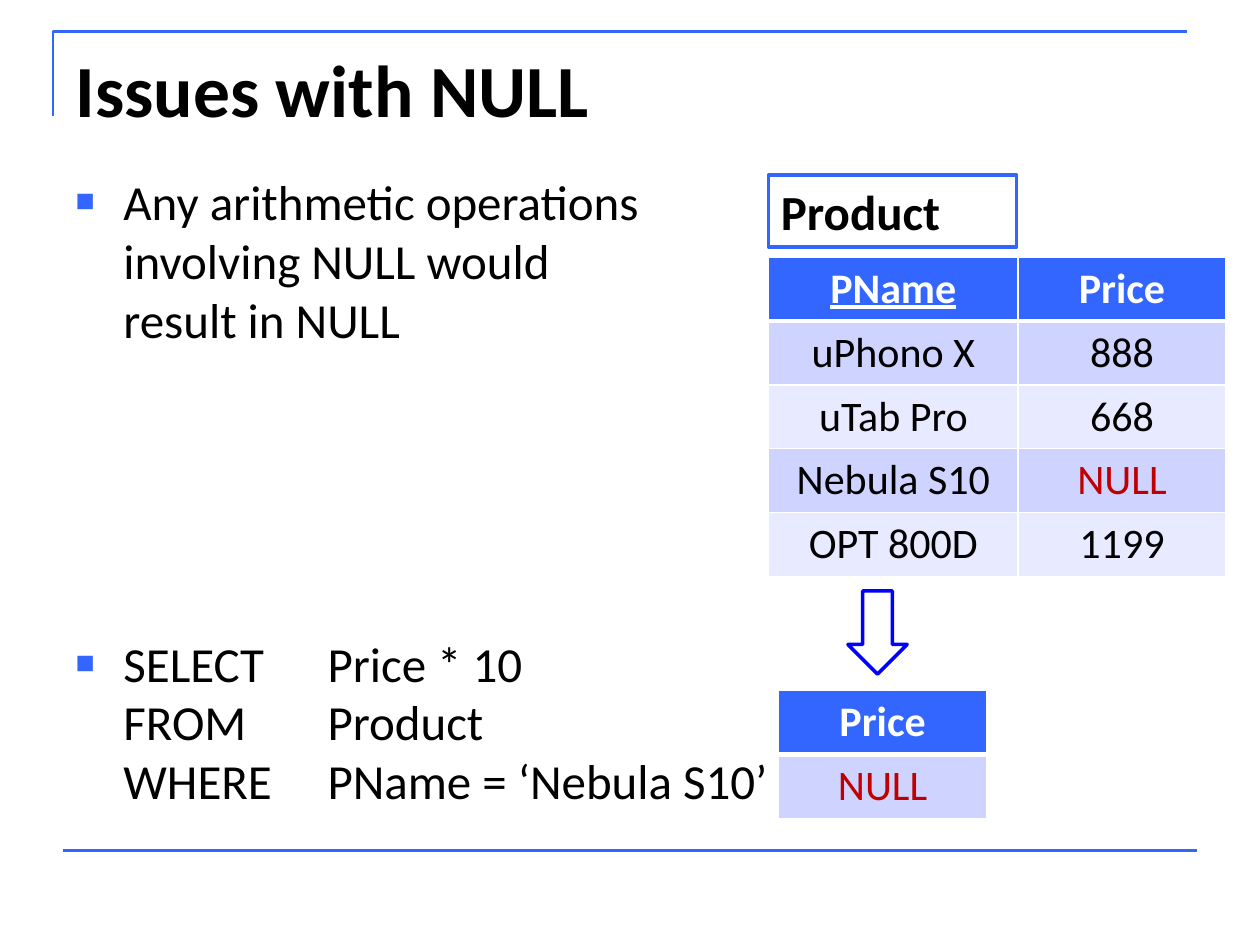
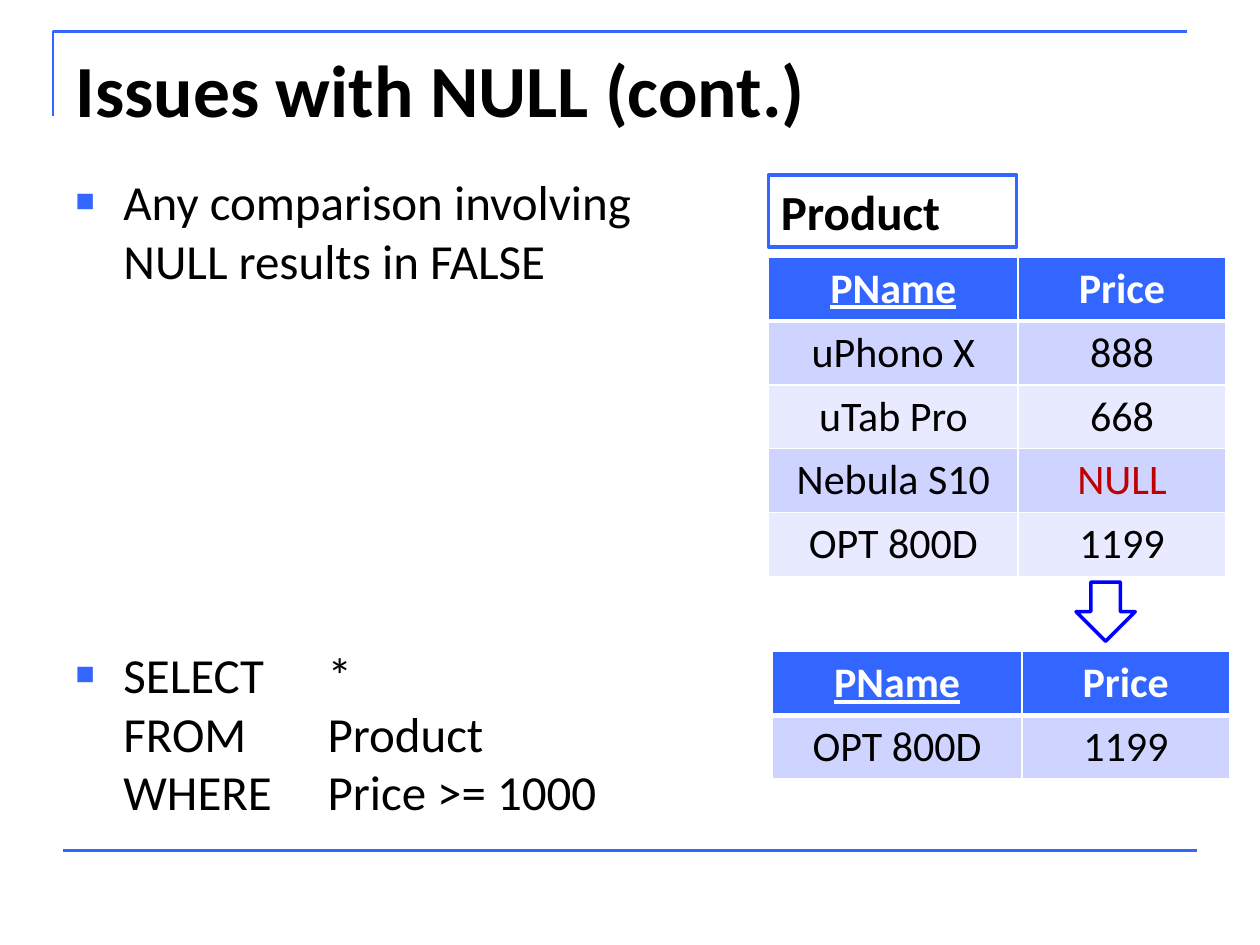
from lxml import etree
from pptx import Presentation
from pptx.dml.color import RGBColor
from pptx.enum.shapes import MSO_CONNECTOR, MSO_SHAPE
from pptx.enum.text import MSO_ANCHOR, MSO_AUTO_SIZE, PP_ALIGN
from pptx.oxml.ns import qn
from pptx.util import Inches, Pt

BLUE = RGBColor(0x33, 0x66, 0xFF)
ARROW_BLUE = RGBColor(0x00, 0x00, 0xFF)
BLACK = RGBColor(0x00, 0x00, 0x00)
WHITE = RGBColor(0xFF, 0xFF, 0xFF)
RED = RGBColor(0xC0, 0x00, 0x00)
BANDS = (RGBColor(0xCE, 0xD3, 0xFF), RGBColor(0xE8, 0xEA, 0xFF))

RECTANGLE, DOWN_ARROW = MSO_SHAPE.RECTANGLE, MSO_SHAPE.DOWN_ARROW
STRAIGHT = MSO_CONNECTOR.STRAIGHT
TOP = MSO_ANCHOR.TOP
NO_AUTOFIT = MSO_AUTO_SIZE.NONE
LEFT, CENTER = PP_ALIGN.LEFT, PP_ALIGN.CENTER

FONT = "Calibri"
TITLE_FORMAT = {"name": FONT, "size": Pt(42), "bold": True}
BODY_FORMAT = {"name": FONT, "size": Pt(28), "bold": False}
LABEL_FORMAT = {"name": FONT, "size": Pt(28), "bold": True}
HEADER_FORMAT = {"name": FONT, "size": Pt(24), "bold": True}
CELL_FORMAT = {"name": FONT, "size": Pt(24), "bold": False}

COLUMN_WIDTHS = {"PName": 1.98, "Price": 1.65}
KEY_COLUMN = "PName"
ROW_HEIGHT = 0.5
PRODUCTS = [
    ("PName", "Price"),
    ("uPhono X", "888"),
    ("uTab Pro", "668"),
    ("Nebula S10", "NULL"),
    ("OPT 800D", "1199"),
]


def format_runs(para, values, color):
    for span in para.runs:
        for name, value in values.items():
            setattr(span.font, name, value)
        span.font.color.rgb = color


def place(box, left, top, width, height):
    box.left, box.top = Inches(left), Inches(top)
    box.width, box.height = Inches(width), Inches(height)


def outline(shape, color, width):
    shape.shadow.inherit = False
    shape.fill.background()
    shape.line.color.rgb = color
    shape.line.width = Pt(width)


def add_frame(page):
    """Draw the corner line above the title and the rule at the foot."""
    builder = page.shapes.build_freeform(Inches(0.42), Inches(0.92))
    builder.add_line_segments(
        [(Inches(0.42), Inches(0.25)), (Inches(9.42), Inches(0.25))], close=False)
    outline(builder.convert_to_shape(), BLUE, 1.5)

    rule = page.shapes.add_connector(
        STRAIGHT, Inches(0.5), Inches(6.75), Inches(9.5), Inches(6.75))
    rule.line.color.rgb = BLUE
    rule.line.width = Pt(1.5)
    etree.SubElement(rule._element.spPr, qn("a:effectLst"))


def set_title(page, text):
    title = page.shapes.title
    place(title, 0.5, 0.3, 9, 1.25)
    frame = title.text_frame
    frame.vertical_anchor = TOP
    frame.auto_size = NO_AUTOFIT
    para = frame.paragraphs[0]
    para.text = text
    para.alignment = LEFT
    format_runs(para, TITLE_FORMAT, BLACK)


def add_bullet(para):
    """Give a paragraph a small blue square, a hanging indent and 1-inch tabs."""
    properties = para._p.get_or_add_pPr()
    properties.set("marL", str(Inches(0.38)))
    properties.set("indent", str(-Inches(0.38)))
    properties.set("defTabSz", str(Inches(1)))
    color = etree.SubElement(properties, qn("a:buClr"))
    etree.SubElement(color, qn("a:srgbClr"), val=str(BLUE))
    etree.SubElement(properties, qn("a:buSzPct"), val="65000")
    etree.SubElement(properties, qn("a:buFont"), typeface="Arial")
    etree.SubElement(properties, qn("a:buChar"), char="■")


def set_body(page, statement, query, query_gap):
    """Fill the list with a statement and, query_gap points lower, a query."""
    body = page.placeholders[1]
    place(body, 0.5, 1.31, 9, 5.4)
    frame = body.text_frame
    frame.word_wrap = True
    frame.vertical_anchor = TOP
    frame.auto_size = NO_AUTOFIT
    paras = frame.paragraphs[0], frame.add_paragraph()
    for para, lines, gap in zip(paras, (statement, query), (0, query_gap)):
        para.text = "\v".join(lines)
        add_bullet(para)
        para.line_spacing = 1.0
        para.space_before = Pt(gap)
        format_runs(para, BODY_FORMAT, BLACK)
        for line_break in para._p.findall(qn("a:br")):
            etree.SubElement(line_break, qn("a:rPr"), sz="2800")


def set_borders(cell, top, bottom):
    """Draw white cell borders, with the top and bottom widths in points."""
    properties = cell._tc.get_or_add_tcPr()
    for tag, width in (("lnL", 1), ("lnR", 1), ("lnT", top), ("lnB", bottom)):
        line = etree.SubElement(properties, qn(f"a:{tag}"), w=str(Pt(width)))
        fill = etree.SubElement(line, qn("a:solidFill"))
        etree.SubElement(fill, qn("a:srgbClr"), val=str(WHITE))


def fill_cell(cell, text, row):
    is_header = row == 0
    set_borders(cell, 3 if row == 1 else 1, 3 if is_header else 1)
    cell.fill.solid()
    cell.fill.fore_color.rgb = BLUE if is_header else BANDS[(row - 1) % 2]
    para = cell.text_frame.paragraphs[0]
    para.text = text
    para.alignment = CENTER
    if is_header:
        format_runs(para, HEADER_FORMAT | {"underline": text == KEY_COLUMN}, WHITE)
    else:
        format_runs(para, CELL_FORMAT, RED if text == "NULL" else BLACK)


def add_relation(page, left, top, rows):
    """Add a table whose first row names the columns."""
    widths = [COLUMN_WIDTHS[name] for name in rows[0]]
    table = page.shapes.add_table(
        len(rows), len(widths), Inches(left), Inches(top),
        Inches(sum(widths)), Inches(ROW_HEIGHT * len(rows))).table
    for column, width in zip(table.columns, widths):
        column.width = Inches(width)
    for row, values in enumerate(rows):
        table.rows[row].height = Inches(ROW_HEIGHT)
        for column, text in enumerate(values):
            fill_cell(table.cell(row, column), text, row)


def add_label(page, text):
    label = page.shapes.add_shape(
        RECTANGLE, Inches(6.1), Inches(1.39), Inches(1.97), Inches(0.57))
    outline(label, BLUE, 2)
    para = label.text_frame.paragraphs[0]
    para.text = text
    para.alignment = LEFT
    format_runs(para, LABEL_FORMAT, BLACK)


def add_down_arrow(page, left, top, height):
    arrow = page.shapes.add_shape(
        DOWN_ARROW, Inches(left), Inches(top), Inches(0.47), Inches(height))
    outline(arrow, ARROW_BLUE, 2)


def add_page(deck, title, statement, query, query_gap):
    """Add a slide with its frame, texts and the Product table."""
    page = deck.slides.add_slide(deck.slide_layouts[1])
    add_frame(page)
    set_title(page, title)
    set_body(page, statement, query, query_gap)
    add_relation(page, 6.1, 2.04, PRODUCTS)
    add_label(page, "Product")
    return page


def main():
    deck = Presentation()
    deck.slide_width, deck.slide_height = Inches(10), Inches(7.5)

    arithmetic = add_page(
        deck, "Issues with NULL",
        ["Any arithmetic operations", "involving NULL would", "result in NULL"],
        ["SELECT \tPrice * 10", "FROM\tProduct", "WHERE \tPName = ‘Nebula S10’"],
        query_gap=163)
    add_relation(arithmetic, 6.18, 5.48, [("Price",), ("NULL",)])
    add_down_arrow(arithmetic, 6.73, 4.69, 0.66)

    comparison = add_page(
        deck, "Issues with NULL (cont.)",
        ["Any comparison involving", "NULL results in FALSE"],
        ["SELECT \t*", "FROM\tProduct", "WHERE \tPrice >= 1000"],
        query_gap=203)
    add_down_arrow(comparison, 8.54, 4.62, 0.47)
    add_relation(comparison, 6.13, 5.17, [PRODUCTS[0], PRODUCTS[-1]])

    deck.save("out.pptx")


if __name__ == "__main__":
    main()
